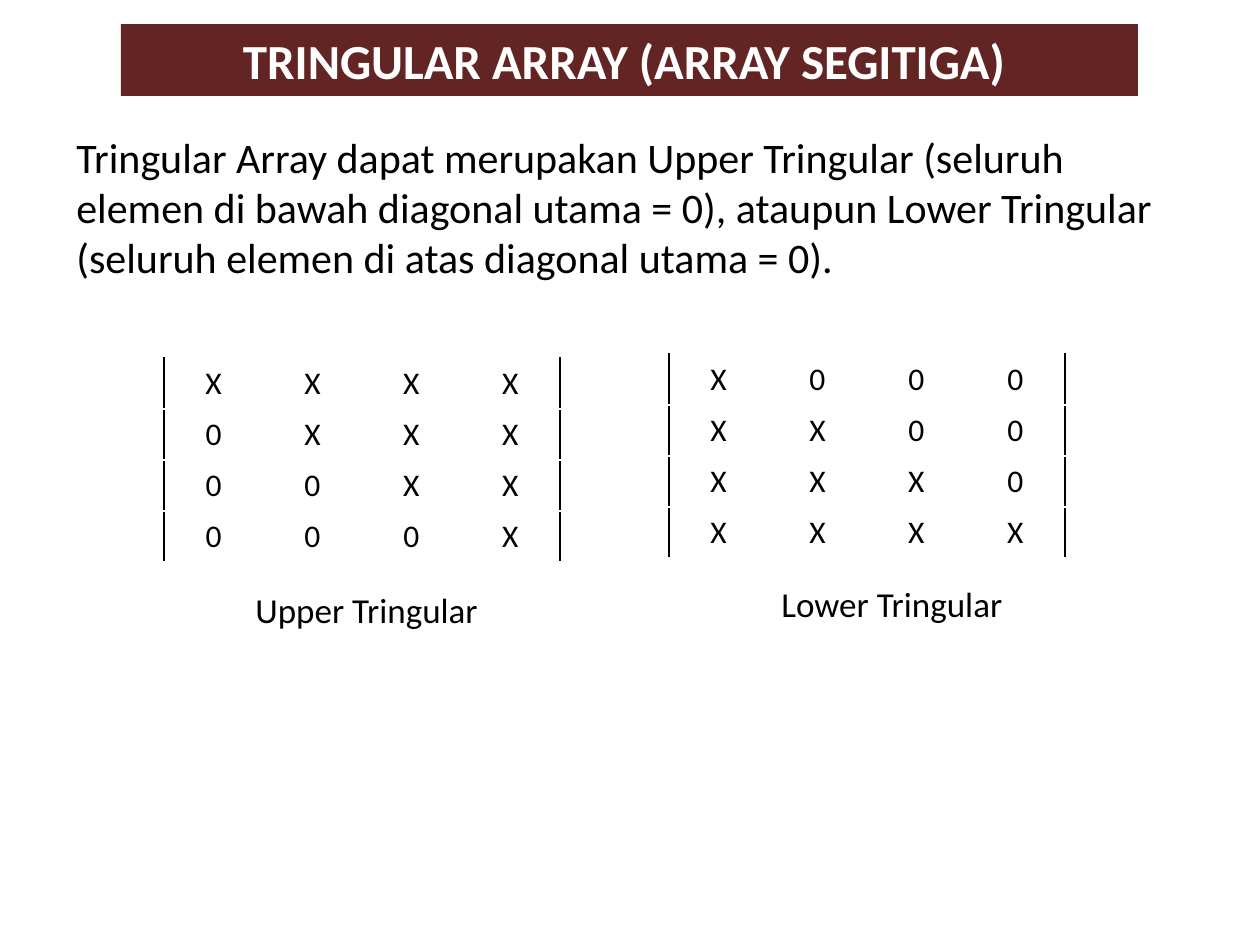
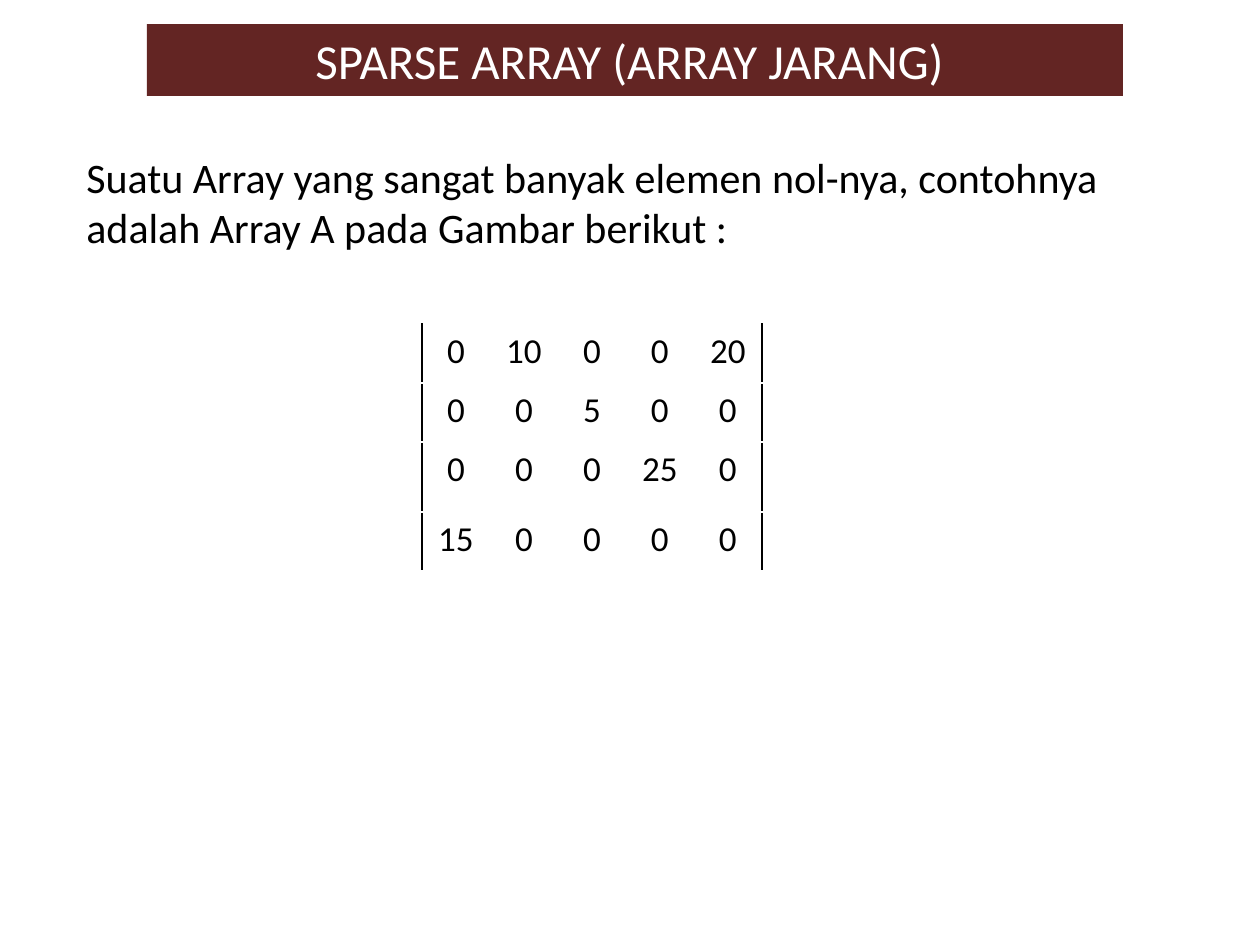
"""Build two slides on triangular and sparse arrays."""
from lxml import etree
from pptx import Presentation, util as u
from pptx.dml.color import RGBColor
from pptx.enum import shapes, text
from pptx.oxml import ns

EMU_PER_PX = 914400 / 126
COLORS = {"banner": "632523", "title": "FFFFFF", "ink": "000000"}
FONT = "Calibri"
BANNER_TOP, BANNER_HEIGHT = 24, 72


def write(frame, words, size, color="ink", align=text.PP_ALIGN.LEFT, bold=False):
    para = frame.paragraphs[0]
    para.text = words
    para.alignment = align
    para.font.name = FONT
    para.font.size = u.Pt(size)
    para.font.bold = bold
    para.font.color.rgb = RGBColor.from_string(COLORS[color])


def px(*lengths):
    return [u.Emu(round(length * EMU_PER_PX)) for length in lengths]


pages = [
    {
        "title": "TRINGULAR ARRAY (ARRAY SEGITIGA) ",
        "bold": True,
        "banner": (121, 1017),
        "body": "Tringular Array dapat merupakan Upper Tringular (seluruh elemen di bawah "
                "diagonal utama = 0), ataupun Lower Tringular (seluruh elemen di atas "
                "diagonal utama = 0).",
        "body_box": (64, 125, 1131, 165),
        "matrices": [
            {"at": (164, 358), "column": 99, "rows": [51] * 4, "size": 18,
             "values": ["X X X X", "0 X X X", "0 0 X X", "0 0 0 X"]},
            {"at": (669, 354), "column": 99, "rows": [51] * 4, "size": 18,
             "values": ["X 0 0 0", "X X 0 0", "X X X 0", "X X X X"]},
        ],
        "captions": [("Upper Tringular", (243, 582, 249, 55)),
                     ("Lower Tringular", (769, 576, 256, 55))],
    },
    {
        "title": "SPARSE ARRAY (ARRAY JARANG) ",
        "bold": False,
        "banner": (147, 976),
        "body": "Suatu Array yang sangat banyak elemen nol-nya, contohnya adalah Array A "
                "pada Gambar berikut :",
        "body_box": (74, 145, 1060, 115),
        "matrices": [
            {"at": (422, 324), "column": 68, "rows": [59, 59, 70, 59], "size": 20,
             "values": ["0 10 0 0 20", "0 0 5 0 0", "0 0 0 25 0", "15 0 0 0 0"]},
        ],
        "captions": [],
    },
]

deck = Presentation()
deck.slide_width, deck.slide_height = px(1260, 945)

for content in pages:
    page = deck.slides.add_slide(deck.slide_layouts[6])

    left, width = content["banner"]
    banner = page.shapes.add_shape(shapes.MSO_SHAPE.RECTANGLE,
                                   *px(left, BANNER_TOP, width, BANNER_HEIGHT))
    banner.shadow.inherit = False
    banner.fill.solid()
    banner.fill.fore_color.rgb = RGBColor.from_string(COLORS["banner"])
    banner.line.fill.background()
    write(banner.text_frame, content["title"], 28, "title",
          text.PP_ALIGN.CENTER, content["bold"])

    box = page.shapes.add_textbox(*px(*content["body_box"]))
    box.text_frame.word_wrap = True
    write(box.text_frame, content["body"], 24)

    for matrix in content["matrices"]:
        values = [line.split() for line in matrix["values"]]
        count = len(values[0])
        table = page.shapes.add_table(
            len(values), count,
            *px(*matrix["at"], matrix["column"] * count, sum(matrix["rows"]))).table
        table.first_row = table.horz_banding = False
        for column in table.columns:
            column.width = px(matrix["column"])[0]
        for row, height, line in zip(table.rows, matrix["rows"], values):
            row.height = px(height)[0]
            for cell, value in zip(row.cells, line):
                cell.fill.background()
                write(cell.text_frame, value, matrix["size"], align=text.PP_ALIGN.CENTER)
            for cell, side in ((row.cells[0], "a:lnL"), (row.cells[count - 1], "a:lnR")):
                border = etree.Element(ns.qn(side), w=str(u.Pt(1)))
                fill = etree.SubElement(border, ns.qn("a:solidFill"))
                etree.SubElement(fill, ns.qn("a:srgbClr"), val=COLORS["ink"])
                cell._tc.get_or_add_tcPr().insert(0, border)

    for caption, place in content["captions"]:
        box = page.shapes.add_textbox(*px(*place))
        box.text_frame.word_wrap = False
        write(box.text_frame, caption, 20)

deck.save("out.pptx")
